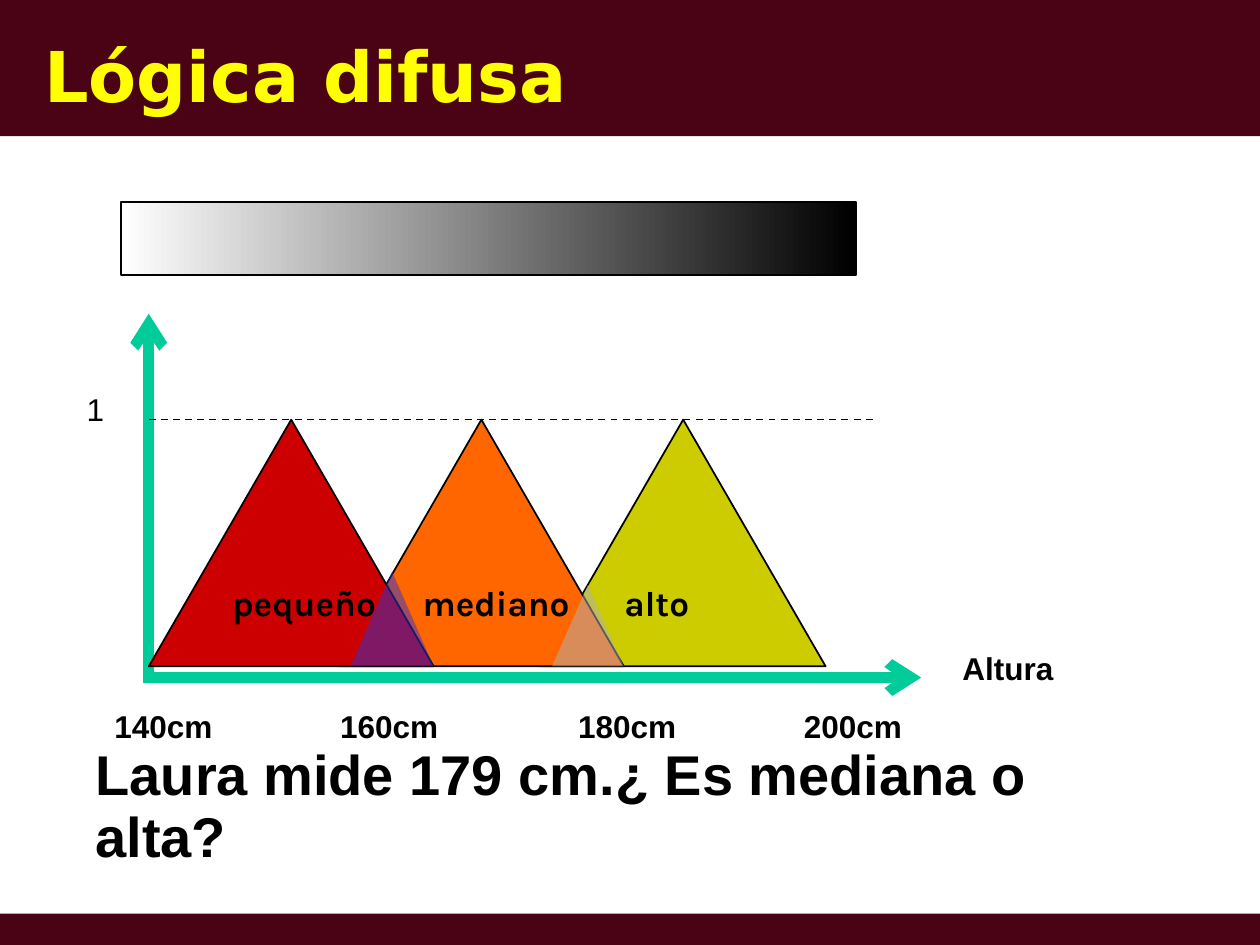
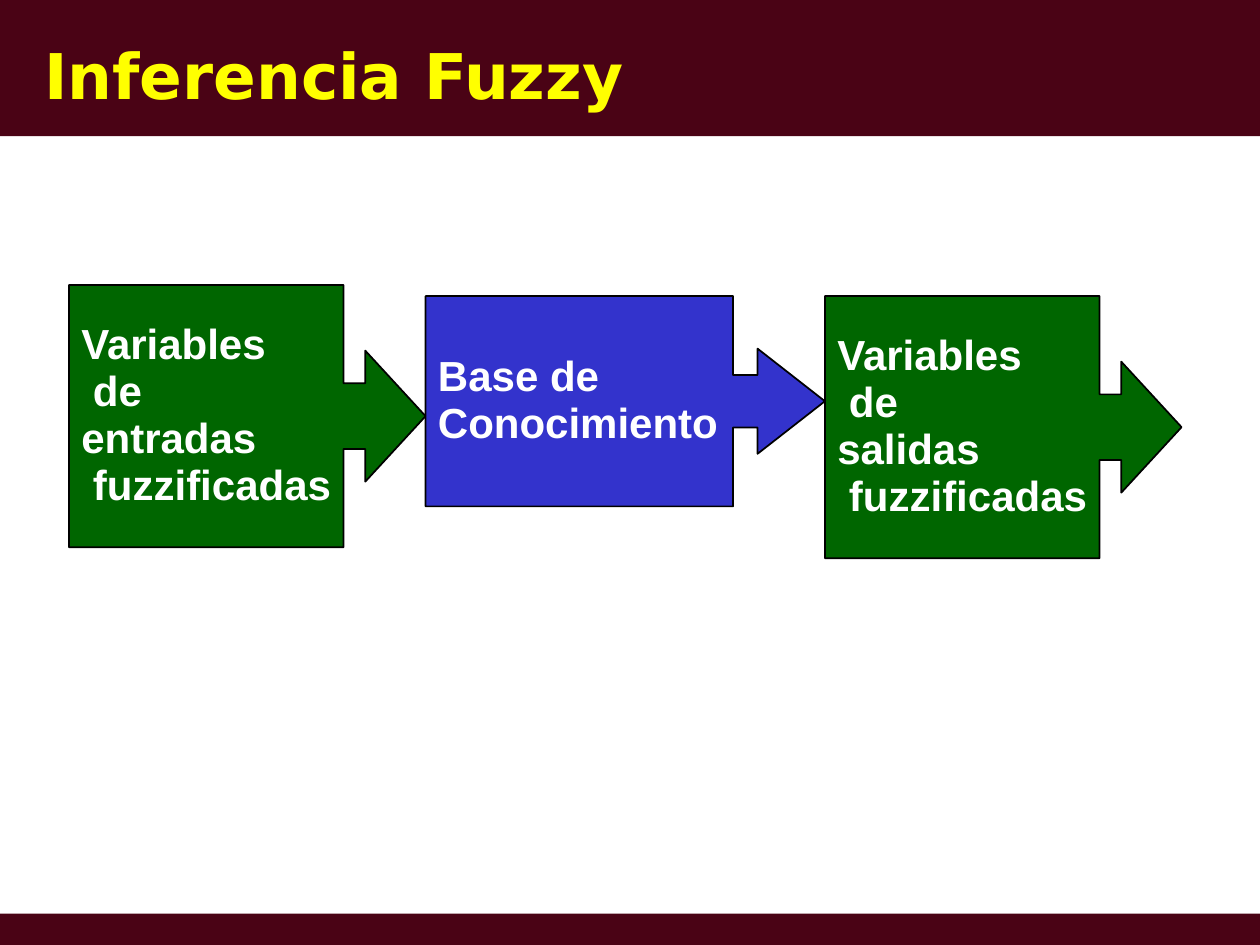
from lxml import etree
from pptx import Presentation
from pptx.dml.color import RGBColor
from pptx.enum.dml import MSO_LINE
from pptx.enum.shapes import MSO_CONNECTOR, MSO_SHAPE
from pptx.enum.text import MSO_ANCHOR, MSO_AUTO_SIZE, PP_ALIGN
from pptx.oxml.ns import qn
from pptx.util import Pt

DASH = MSO_LINE.DASH
STRAIGHT = MSO_CONNECTOR.STRAIGHT
RECTANGLE = MSO_SHAPE.RECTANGLE
TRIANGLE = MSO_SHAPE.ISOSCELES_TRIANGLE
ARROW_CALLOUT = MSO_SHAPE.RIGHT_ARROW_CALLOUT
MIDDLE = MSO_ANCHOR.MIDDLE
FIT_SHAPE = MSO_AUTO_SIZE.SHAPE_TO_FIT_TEXT
LEFT = PP_ALIGN.LEFT

SLIDE_WIDTH, SLIDE_HEIGHT = 720, 540
TITLE_FONT, TEXT_FONT, SET_FONT = "DejaVu Sans", "Arial", "Karla"
BAND, YELLOW, BLACK, WHITE = "4A0315", "FFFF00", "000000", "FFFFFF"
AXIS, GREEN, BLUE, GRAY = "00CC99", "006600", "3333CC", "B2B2B2"
LINE_SPACING = 0.93
SPACE_INDENT = 6.67


def color(hex_value):
    """Turn a hex string into a colour."""
    return RGBColor.from_string(hex_value)


def write_lines(shape, lines, size, hex_value, font_name=TEXT_FONT, bold=True, wrap=False):
    """Write left-aligned, vertically centred paragraphs into a shape."""
    frame = shape.text_frame
    frame.text = "\n".join(lines)
    frame.word_wrap = wrap
    frame.vertical_anchor = MIDDLE
    for paragraph in frame.paragraphs:
        paragraph.alignment = LEFT
        paragraph.line_spacing = LINE_SPACING
        paragraph.font.name = font_name
        paragraph.font.size = Pt(size)
        paragraph.font.bold = bold
        paragraph.font.color.rgb = color(hex_value)


def add_figure(slide, kind, left, top, width, height, fill=None, outline=BLACK):
    """Add a preset shape without shadow, with an optional fill and outline."""
    shape = slide.shapes.add_shape(kind, Pt(left), Pt(top), Pt(width), Pt(height))
    shape.shadow.inherit = False
    if fill:
        shape.fill.solid()
        shape.fill.fore_color.rgb = color(fill)
    if outline:
        shape.line.color.rgb = color(outline)
        shape.line.width = Pt(1)
    else:
        shape.line.fill.background()
    return shape


def add_label(slide, text, left, top, width, height=27.4, size=18, bold=True, wrap=False):
    """Add a text box that fits its text."""
    box = slide.shapes.add_textbox(Pt(left), Pt(top), Pt(width), Pt(height))
    write_lines(box, [text], size, BLACK, bold=bold, wrap=wrap)
    box.text_frame.auto_size = FIT_SHAPE


def add_line(slide, start, end, hex_value, width):
    """Add a straight connector without shadow between two points."""
    line = slide.shapes.add_connector(STRAIGHT, *(Pt(value) for value in (*start, *end)))
    line.line.color.rgb = color(hex_value)
    line.line.width = Pt(width)
    etree.SubElement(line.element.spPr, qn("a:effectLst"))
    return line


def add_axis(slide, origin, end):
    """Add a thick axis that ends in an open arrowhead."""
    axis = add_line(slide, origin, end, AXIS, 6)
    outline = axis.element.spPr.find(qn("a:ln"))
    outline.set("cap", "sq")
    etree.SubElement(outline, qn("a:tailEnd"), type="arrow")


def make_half_transparent(shape):
    """Let half of what lies behind a solid fill show through."""
    fill_color = shape.element.spPr.find(qn("a:solidFill"))[0]
    etree.SubElement(fill_color, qn("a:alpha"), val="50000")


def add_titled_slide(presentation, title, size):
    """Add a slide with its title placeholder filled in."""
    slide = presentation.slides.add_slide(presentation.slide_layouts[5])
    write_lines(slide.shapes.title, [title], size, YELLOW, TITLE_FONT, wrap=True)
    return slide


def style_template(presentation, slide):
    """Place the title in the layout and move both bands to the master."""
    title = presentation.slide_layouts[5].placeholders[0]
    title.left, title.top, title.width, title.height = Pt(18), Pt(18), Pt(522), Pt(54)
    master_tree = presentation.slide_master.shapes.element
    for top, height in ((0, 77.8), (522, 18)):
        band = add_figure(slide, RECTANGLE, 0, top, SLIDE_WIDTH, height, BAND, None)
        master_tree.insert(2, band.element)


def add_height_scale(slide, left, top, width, height):
    """Add the bar that fades from white to black."""
    bar = add_figure(slide, RECTANGLE, left, top, width, height)
    bar.fill.gradient()
    bar.fill.gradient_angle = 0
    for stop, hex_value in zip(bar.fill.gradient_stops, (WHITE, BLACK)):
        stop.color.rgb = color(hex_value)


def add_membership_diagram(slide, left, top, set_width, set_height):
    """Add axes, fuzzy sets and overlaps; top is the level of membership 1."""
    base = top + set_height
    axis_top = base + 6.4
    add_axis(slide, (left, axis_top), (left, top - 60.5))
    add_axis(slide, (left, axis_top), (left + 441.4, axis_top))

    fuzzy_sets = (("pequeño", 0, "CC0000"), ("mediano", 108.7, "FF6600"), ("alto", 224, "CCCC00"))
    for name, offset, fill in reversed(fuzzy_sets):
        triangle = add_figure(slide, TRIANGLE, left + offset, top, set_width, set_height, fill)
        write_lines(triangle, [name], 20, BLACK, SET_FONT)

    overlaps = ((108.7, 41, GRAY), (0, 47.5, BLUE))
    for set_offset, width, fill in overlaps:
        height = width * 1.14
        right = left + set_offset + set_width
        overlap = add_figure(slide, TRIANGLE, right - width, base - height, width, height, fill, None)
        make_half_transparent(overlap)

    level = add_line(slide, (left, top), (left + 414, top), BLACK, 1)
    level.line.dash_style = DASH
    add_label(slide, "1", left - 42.5, top - 18.8, 24.5, bold=False)
    add_label(slide, "Altura", left + 457.9, base - 11.5, 66.2)
    ticks = (("140cm", -26.7), ("160cm", 102.2), ("180cm", 238.3), ("200cm", 367.2))
    for text, offset in ticks:
        add_label(slide, text, left + offset, base + 21.6, 70.6)


def add_inference_chain(slide, left, top):
    """Add the arrow callouts, each starting where the one before ends."""
    callouts = (
        (("Variables", "de", "entradas", "fuzzificadas"), 0, 203.8, 149.8, 0.23, GREEN),
        (("Base de", "Conocimiento"), 6.3, 228.2, 120.2, 0.32, BLUE),
        (("Variables", "de", "salidas", "fuzzificadas"), 6.3, 203.8, 149.8, 0.23, GREEN),
    )
    for lines, drop, width, height, head_length, fill in callouts:
        callout = add_figure(slide, ARROW_CALLOUT, left, top + drop, width, height, fill)
        for index, value in enumerate((0.25, 0.25, head_length, 0.77)):
            callout.adjustments[index] = value
        write_lines(callout, lines, 24, WHITE)
        for paragraph in callout.text_frame.paragraphs:
            if paragraph.text in ("de", "fuzzificadas"):
                paragraph._p.get_or_add_pPr().set("marL", str(Pt(SPACE_INDENT)))
        left += width


def main():
    """Build and save the presentation."""
    presentation = Presentation()
    presentation.slide_width, presentation.slide_height = Pt(SLIDE_WIDTH), Pt(SLIDE_HEIGHT)

    logic_slide = add_titled_slide(presentation, "Lógica difusa", 40)
    style_template(presentation, logic_slide)
    add_membership_diagram(logic_slide, 85, 239.8, 162.8, 141)
    add_height_scale(logic_slide, 69, 115.3, 420, 41.8)
    question = "Laura mide 179 cm.¿ Es mediana o alta?"
    add_label(logic_slide, question, 47.5, 440, 630, 43.2, size=32, wrap=True)

    inference_slide = add_titled_slide(presentation, "Inferencia Fuzzy", 36)
    add_inference_chain(inference_slide, 39.4, 162.9)

    presentation.save("out.pptx")


if __name__ == "__main__":
    main()
